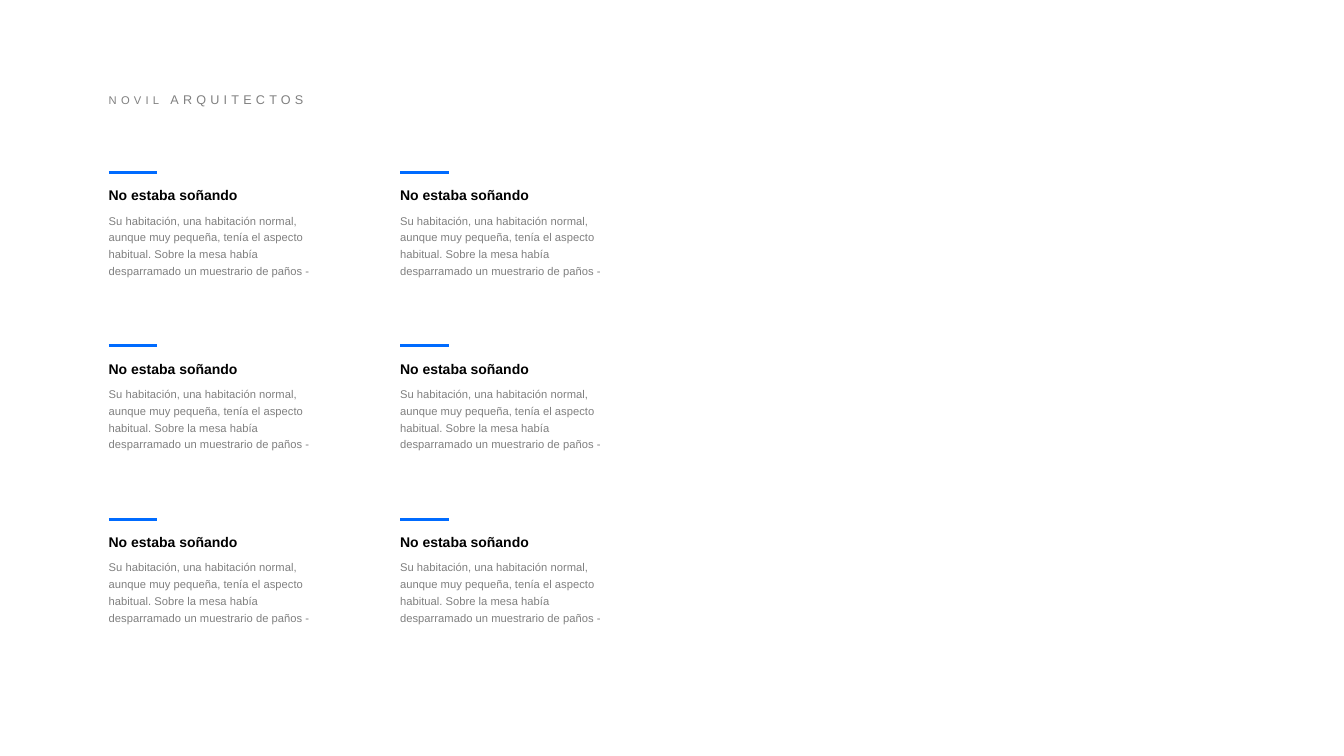
import pptx
import pptx.dml.color
import pptx.enum.shapes
import pptx.enum.text
import pptx.oxml.ns
import pptx.util
from lxml import etree

Inches = pptx.util.Inches
Pt = pptx.util.Pt

BRAND = [("NOVIL ", 8), ("ARQUITECTOS", 9)]
HEADING = "No estaba soñando"
BODY = (
    "Su habitación, una habitación normal, aunque muy pequeña, tenía el aspecto "
    "habitual. Sobre la mesa había desparramado un muestrario de paños -"
)
COLUMNS = [
    {"left": 0.98, "heading_width": 1.54, "body_width": 2.35},
    {"left": 3.87, "heading_width": 1.7, "body_width": 2.27},
]
ROW_COUNT = 3
FIRST_ROW = 1.71
ROW_PITCH = 1.72
INSET = 0.1
RULE_WIDTH = 0.48
COLORS = {"accent": "006BFF", "heading": "000000", "body": "808080"}


def color(name):
    return pptx.dml.color.RGBColor.from_string(COLORS[name])


def add_text(slide, left, top, width, height, runs, color_name, bold=False):
    box = slide.shapes.add_textbox(
        Inches(left), Inches(top), Inches(width), Inches(height)
    )
    box.text_frame.word_wrap = True
    paragraph = box.text_frame.paragraphs[0]
    paragraph.font.name = "Arial"
    paragraph.font.bold = bold
    paragraph.font.color.rgb = color(color_name)
    for text, size in runs:
        run = paragraph.add_run()
        run.text = text
        run.font.size = Pt(size)
    return paragraph


def add_rule(slide, left, top):
    rule = slide.shapes.add_connector(
        pptx.enum.shapes.MSO_CONNECTOR.STRAIGHT,
        Inches(left), Inches(top), Inches(left + RULE_WIDTH), Inches(top),
    )
    rule.line.color.rgb = color("accent")
    rule.line.width = Pt(2.25)
    etree.SubElement(rule._element.spPr, pptx.oxml.ns.qn("a:effectLst"))


def add_card(slide, column, top):
    left = column["left"]
    add_rule(slide, left + INSET, top)
    heading = add_text(
        slide, left, top + 0.01, column["heading_width"], 0.35,
        [(HEADING, 10)], "heading", bold=True,
    )
    heading.alignment = pptx.enum.text.PP_ALIGN.JUSTIFY
    heading.line_spacing = 1.5
    body = add_text(
        slide, left, top + 0.33, column["body_width"], 0.77, [(BODY, 8)], "body"
    )
    body.line_spacing = Pt(12)


def main():
    presentation = pptx.Presentation()
    presentation.slide_width = Inches(13.33)
    presentation.slide_height = Inches(7.5)
    slide = presentation.slides.add_slide(presentation.slide_layouts[6])

    brand = add_text(slide, COLUMNS[0]["left"], 0.86, 2.35, 0.25, BRAND, "body")
    for run in brand.runs:
        run.font._element.set("spc", "300")

    for row in range(ROW_COUNT):
        for column in COLUMNS:
            add_card(slide, column, FIRST_ROW + row * ROW_PITCH)

    presentation.save("out.pptx")


if __name__ == "__main__":
    main()
